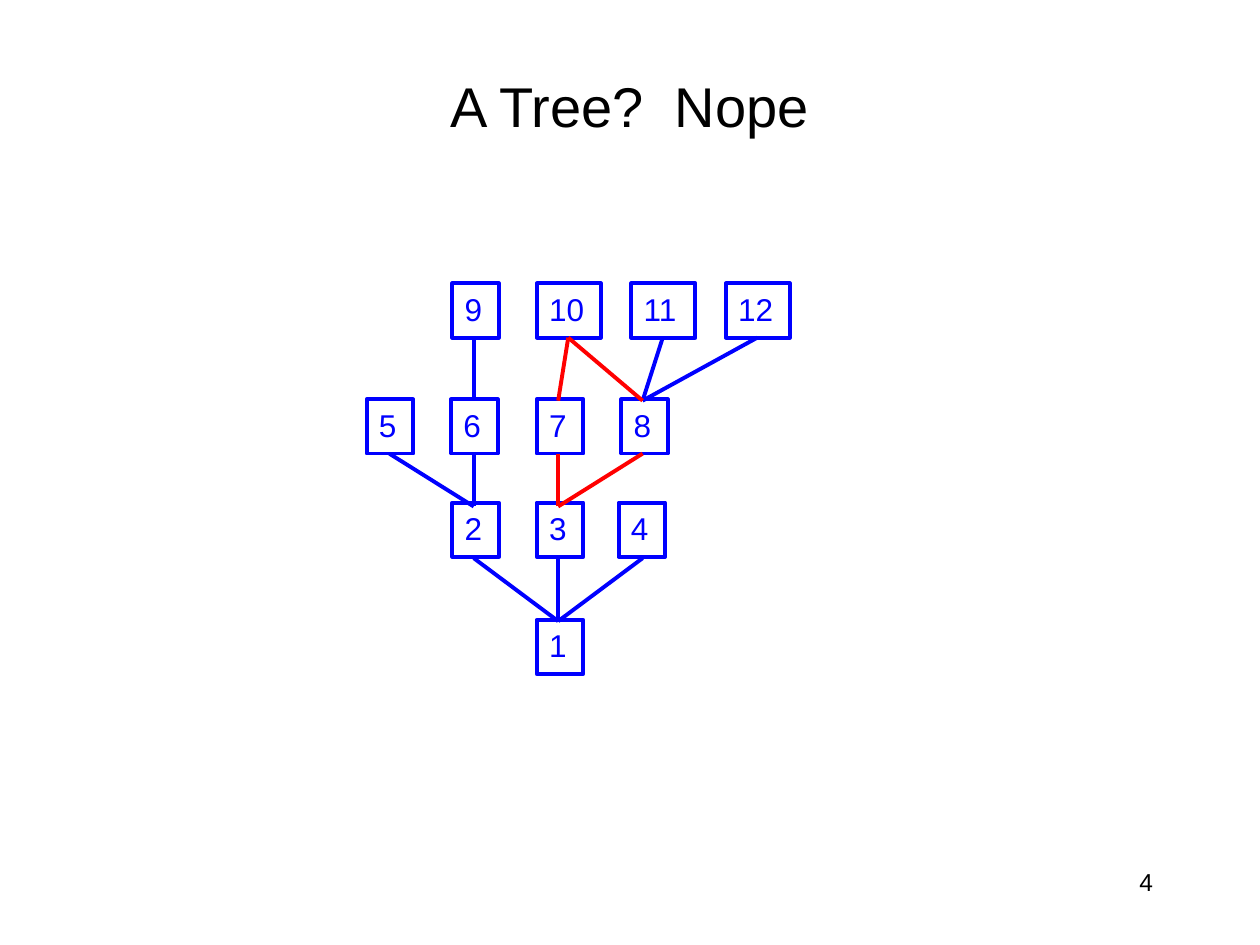
from pptx import Presentation
from pptx.dml.color import RGBColor
from pptx.enum.shapes import MSO_CONNECTOR as Connector, MSO_SHAPE as Shape
from pptx.enum.text import MSO_ANCHOR as Anchor, MSO_AUTO_SIZE as AutoSize, PP_ALIGN as Align
from pptx.oxml.ns import qn
from pptx.util import Inches, Pt
from lxml import etree

BLACK, BLUE, RED = "000000", "0000FF", "FF0000"


def color(value):
    return RGBColor.from_string(value)


def write(frame, text, size=18, fill=BLACK, align=Align.LEFT, anchor=Anchor.TOP,
          wrap=True, fit=AutoSize.NONE, font="Arial"):
    frame.word_wrap = wrap
    frame.auto_size = fit
    frame.vertical_anchor = anchor
    para = frame.paragraphs[0]
    para.alignment = align
    span = para.add_run()
    span.text = text
    span.font.name = font
    span.font.size = Pt(size)
    span.font.color.rgb = color(fill)


class Page:
    line_width = Pt(2.25)

    def __init__(self, deck):
        self.slide = deck.slides.add_slide(deck.slide_layouts[5])

    def title(self, text, left, top, width, height):
        box = self.slide.shapes.title
        box.left, box.top = Inches(left), Inches(top)
        box.width, box.height = Inches(width), Inches(height)
        write(box.text_frame, text, size=32, align=Align.CENTER, anchor=Anchor.MIDDLE)

    def label(self, text, left, top, width, height, **style):
        box = self.slide.shapes.add_textbox(*map(Inches, (left, top, width, height)))
        write(box.text_frame, text, **style)

    def node(self, text, left, top, width, height):
        box = self.slide.shapes.add_shape(
            Shape.RECTANGLE, *map(Inches, (left, top, width, height)))
        box.shadow.inherit = False
        box.fill.background()
        box.line.color.rgb = color(BLUE)
        box.line.width = self.line_width
        write(box.text_frame, text, fill=BLUE, wrap=False, fit=AutoSize.SHAPE_TO_FIT_TEXT)

    def edge(self, start, end, stroke):
        line = self.slide.shapes.add_connector(
            Connector.STRAIGHT, *map(Inches, (*start, *end)))
        line.line.color.rgb = color(stroke)
        line.line.width = self.line_width
        etree.SubElement(line._element.spPr, qn("a:effectLst"))


deck = Presentation()
deck.slide_width, deck.slide_height = Inches(10), Inches(7.5)
page = Page(deck)

# Title and page number
page.label("4", 7.17, 6.83, 2.08, 0.5, size=14, align=Align.RIGHT)
page.title("A Tree?  Nope", 0.75, 0.42, 8.5, 0.83)

# Rows from the root up: box top, edge heights above and below,
# first edge position, edge spacing, and the left side of each node
ROWS = [
    (4.92, 4.93, 5.35, 4.43, 0.67, {1: 4.26}),
    (3.99, 4.02, 4.43, 3.76, 0.67, {2: 3.59, 3: 4.26, 4: 4.91}),
    (3.17, 3.18, 3.60, 3.09, 0.67, {5: 2.91, 6: 3.58, 7: 4.26, 8: 4.93}),
    (2.25, 2.25, 2.68, 3.76, 0.75, {9: 3.59, 10: 4.26, 11: 5.01, 12: 5.76}),
]
upper, lower = {}, {}
for top, above, below, first, spacing, nodes in ROWS:
    for index, (number, left) in enumerate(nodes.items()):
        page.node(str(number), left, top, 0.37 if number < 10 else 0.51, 0.43)
        x = first + index * spacing
        upper[number], lower[number] = (x, above), (x, below)

# Edges from each node to those above it; red ones close the cycle
EDGES = {1: (3, 2, 4), 2: (5, 6), 6: (9,), 3: (7, 8), 7: (10,), 8: (11, 12, 10)}
CYCLE = {3, 7, 8, 10}
for base, others in EDGES.items():
    for other in others:
        page.edge(upper[base], lower[other], RED if {base, other} <= CYCLE else BLUE)

deck.save("out.pptx")
